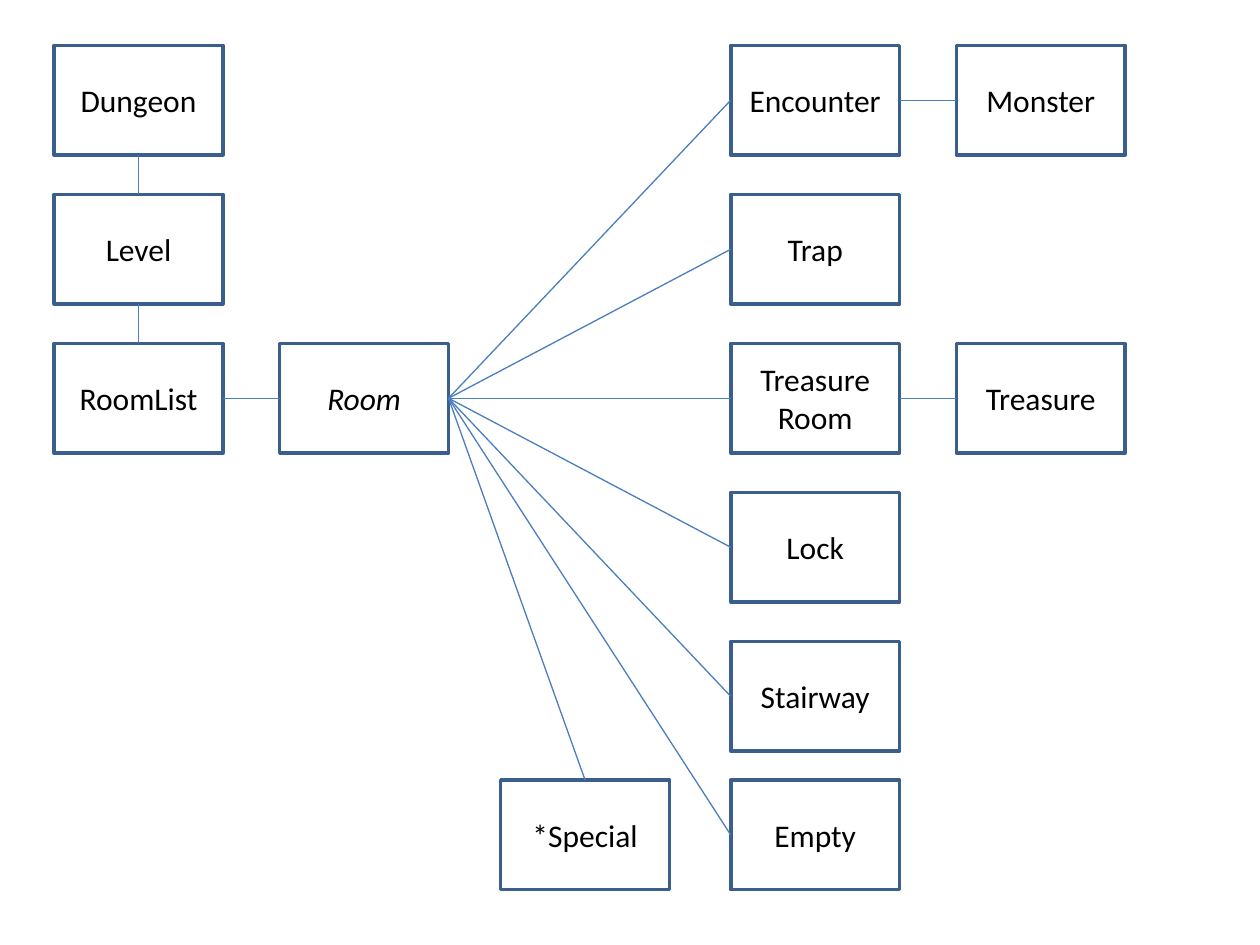
from dataclasses import dataclass
from lxml.etree import SubElement
from pptx import Presentation as Deck
from pptx.dml.color import RGBColor as Rgb
from pptx.enum.shapes import MSO_CONNECTOR as Link, MSO_SHAPE as Form
from pptx.enum.text import MSO_ANCHOR as Anchor, PP_ALIGN as Align
from pptx.oxml.ns import qn
from pptx.util import Inches as In, Pt

TOP, LEFT, BOTTOM, RIGHT = range(4)


@dataclass(frozen=True)
class Theme:
    font: str = "Calibri"
    size: float = 18
    ink: str = "000000"
    fill: str = "FFFFFF"
    edge: str = "3A5F8C"
    wire: str = "4B7EBC"
    thick: float = 2
    thin: float = 0.75


@dataclass(frozen=True)
class Grid:
    left: float = 0.43
    top: float = 0.36
    col: float = 1.79
    row: float = 1.183
    wide: float = 1.34
    high: float = 0.87

    def cell(self, col, row):
        return (In(self.left + col * self.col), In(self.top + row * self.row),
                In(self.wide), In(self.high))


def write(frame, text, font, size, color, italic=False):
    frame.word_wrap = True
    frame.vertical_anchor = Anchor.MIDDLE
    frame.text = text
    for para in frame.paragraphs:
        para.alignment = Align.CENTER
        for run in para.runs:
            run.font.name = font
            run.font.size = Pt(size)
            run.font.italic = italic
            run.font.color.rgb = Rgb.from_string(color)


class Chart:
    def __init__(self, slide, theme, grid):
        self.slide, self.theme, self.grid = slide, theme, grid

    def box(self, text, col, row, italic=False):
        look = self.theme
        box = self.slide.shapes.add_shape(Form.RECTANGLE, *self.grid.cell(col, row))
        box.shadow.inherit = False
        box.fill.solid()
        box.fill.fore_color.rgb = Rgb.from_string(look.fill)
        box.line.color.rgb = Rgb.from_string(look.edge)
        box.line.width = Pt(look.thick)
        write(box.text_frame, text, look.font, look.size, look.ink, italic)
        return box

    def join(self, start, out, end, into):
        wire = self.slide.shapes.add_connector(Link.STRAIGHT, 0, 0, 0, 0)
        wire.begin_connect(start, out)
        wire.end_connect(end, into)
        wire.line.color.rgb = Rgb.from_string(self.theme.wire)
        wire.line.width = Pt(self.theme.thin)
        SubElement(wire._element.spPr, qn("a:effectLst"))


def main():
    deck = Deck()
    deck.slide_width, deck.slide_height = In(10), In(7.5)
    chart = Chart(deck.slides.add_slide(deck.slide_layouts[6]), Theme(), Grid())
    last = 4.93

    stack = [chart.box(text, 0, row)
             for row, text in enumerate(("Dungeon", "Level", "RoomList"))]
    room = chart.box("Room", 1, 2, italic=True)
    names = ("Encounter", "Trap", "Treasure\nRoom", "Lock", "Stairway", "Empty")
    kinds = [chart.box(text, 3, min(row, last)) for row, text in enumerate(names)]
    monster = chart.box("Monster", 4, 0)
    treasure = chart.box("Treasure", 4, 2)
    special = chart.box("*Special", 1.98, last)

    chart.join(room, RIGHT, special, TOP)
    pairs = [(room, kind) for kind in kinds]
    pairs += [(stack[-1], room), (kinds[0], monster), (kinds[2], treasure)]
    for start, end in pairs:
        chart.join(start, RIGHT, end, LEFT)
    for upper, lower in zip(stack, stack[1:]):
        chart.join(upper, BOTTOM, lower, TOP)

    deck.save("out.pptx")


if __name__ == "__main__":
    main()
